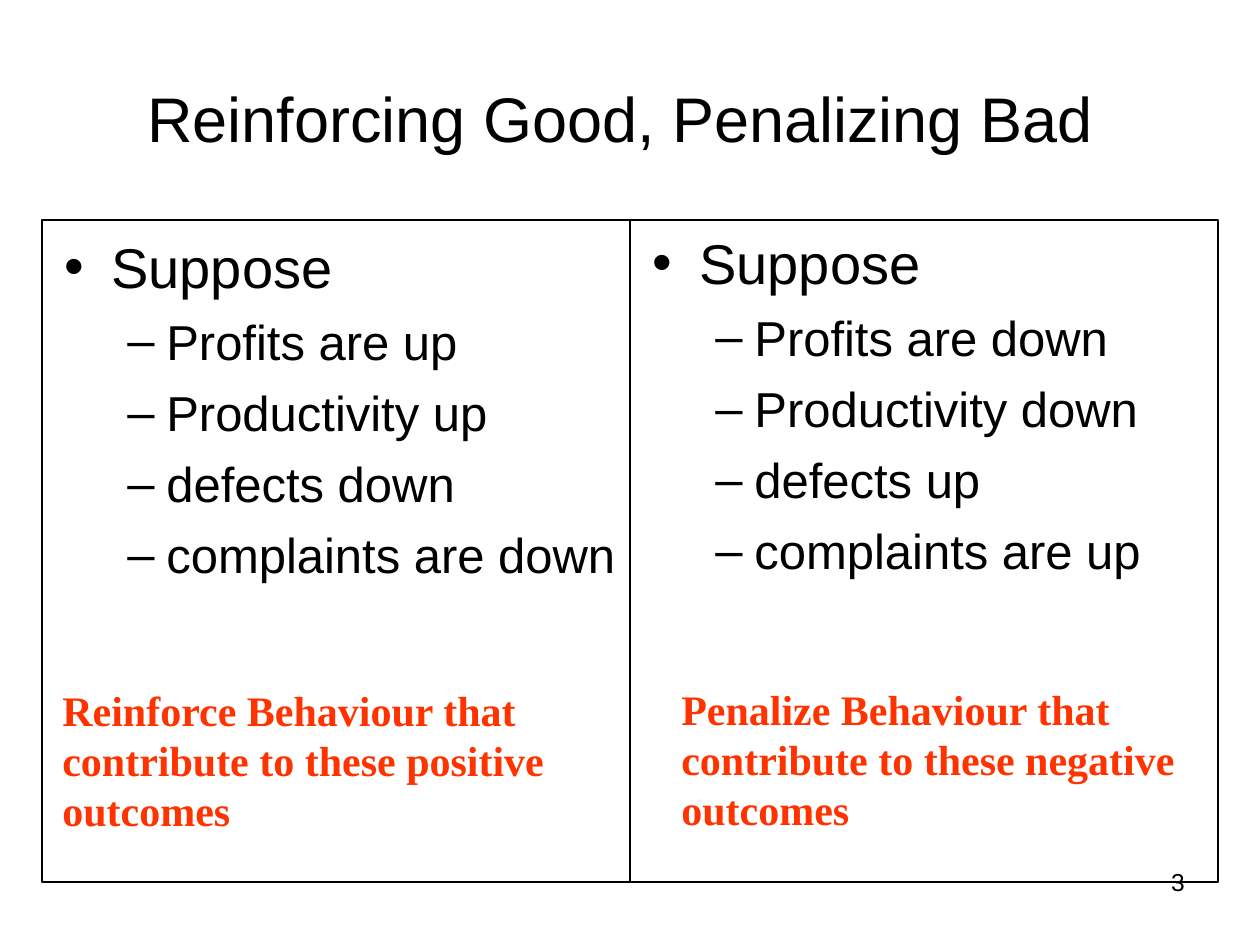
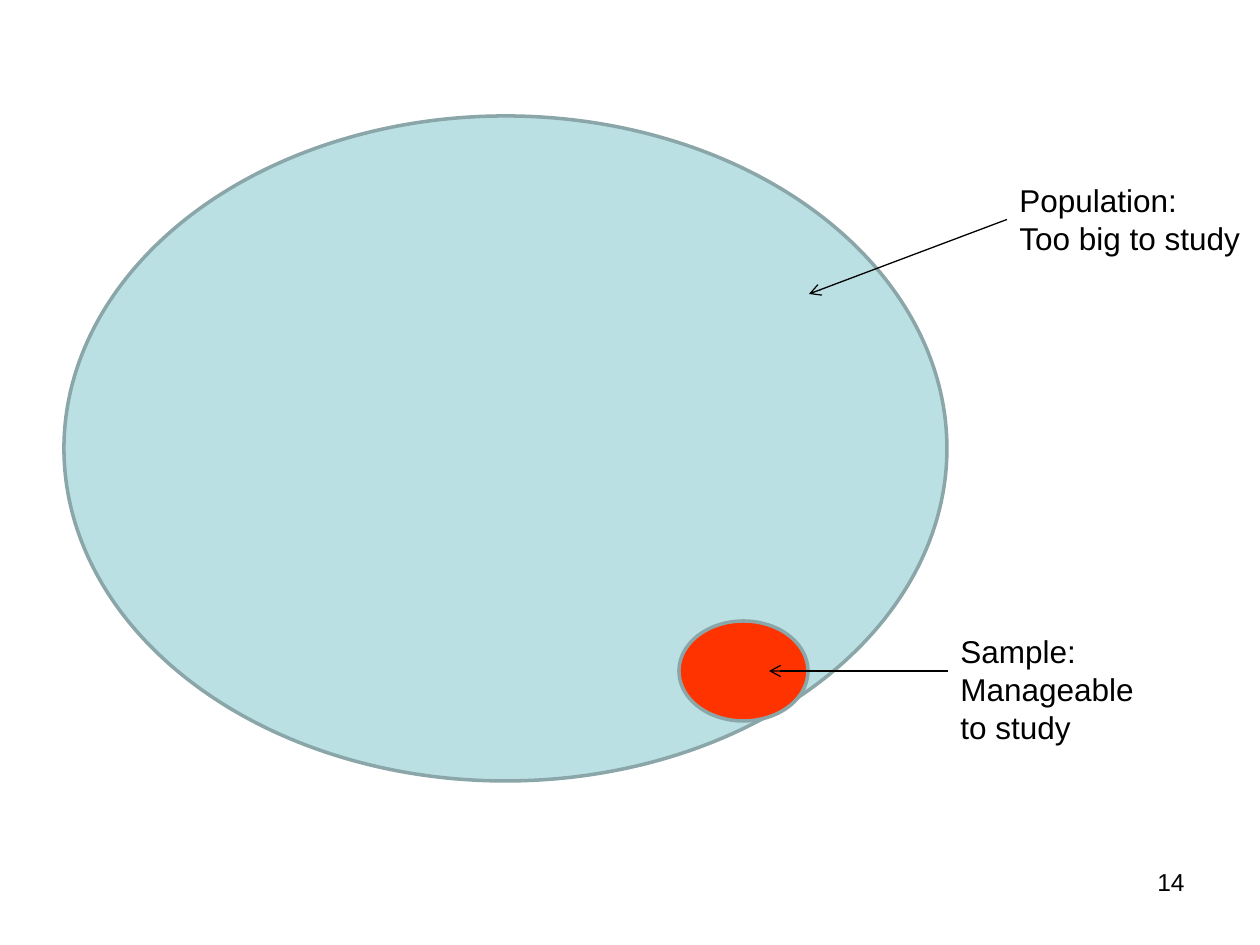
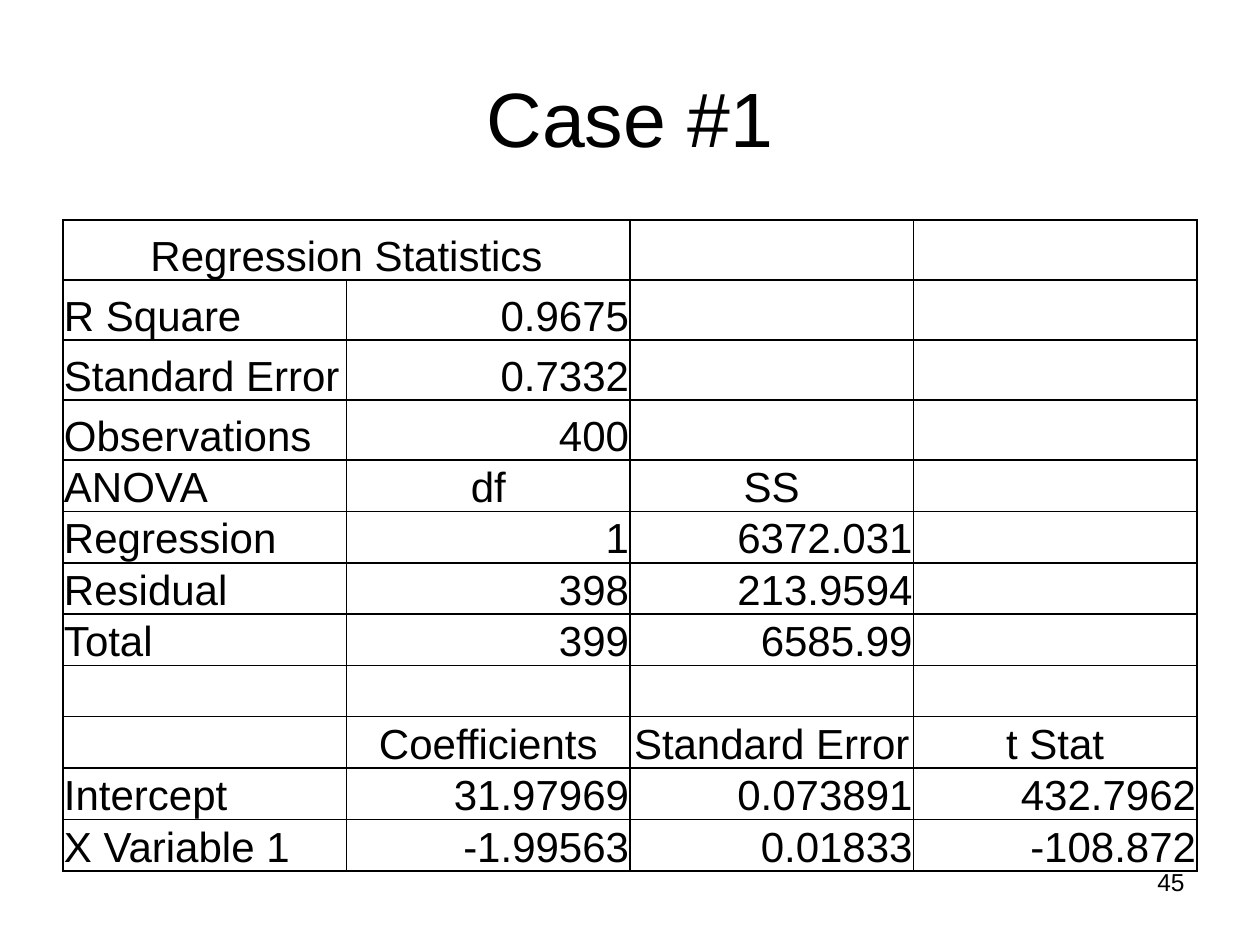
from dataclasses import dataclass

from lxml.etree import SubElement
from pptx import Presentation
from pptx.dml.color import RGBColor
from pptx.enum.shapes import MSO_CONNECTOR, MSO_SHAPE
from pptx.enum.text import MSO_ANCHOR as Anchor, MSO_AUTO_SIZE as AutoSize, PP_ALIGN as Align
from pptx.oxml import parse_xml
from pptx.oxml.ns import nsdecls, qn
from pptx.util import Emu, Pt


@dataclass(frozen=True)
class Theme:
    black: RGBColor = RGBColor(0x00, 0x00, 0x00)
    red: RGBColor = RGBColor(0xFF, 0x33, 0x00)
    pale_blue: RGBColor = RGBColor(0xBB, 0xE0, 0xE3)
    outline: RGBColor = RGBColor(0x8A, 0xA6, 0xA8)
    sans: str = "Arial"
    serif: str = "Times New Roman"
    title: int = 44
    long_title: int = 36
    bullet: int = 32
    sub_bullet: int = 28
    table: int = 24
    message: int = 24
    label: int = 18
    page_number: int = 14


THEME = Theme()
EMU_PER_PX = 914400 / 126
LEFT_SIDE = 1


def px(*lengths):
    """Turn px lengths into a list of EMU lengths."""
    return [Emu(round(length * EMU_PER_PX)) for length in lengths]


def write(frame, lines, size, color=THEME.black, font=THEME.sans, bold=False,
          align=Align.LEFT, bullets=None, space_before=0):
    """Write one paragraph per line; bullets gives (sign, indent, hang, size) per line."""
    for index, line in enumerate(lines):
        paragraph = frame.paragraphs[0] if index == 0 else frame.add_paragraph()
        paragraph.alignment = align
        paragraph.space_before = Pt(space_before if index else 0)
        line_size = size
        if bullets:
            sign, indent, hang, line_size = bullets[index]
            properties = paragraph._p.get_or_add_pPr()
            margin, first_line = px(indent, -hang)
            properties.set("marL", str(margin))
            properties.set("indent", str(first_line))
            SubElement(properties, qn("a:buFont"), typeface=font)
            SubElement(properties, qn("a:buChar"), char=sign)
        run = paragraph.add_run()
        run.text = line
        run.font.name = font
        run.font.size = Pt(line_size)
        run.font.bold = bold
        run.font.color.rgb = color


presentation = Presentation()
presentation.slide_width, presentation.slide_height = px(1260, 945)
title_only, blank = presentation.slide_layouts[5], presentation.slide_layouts[6]

# Slides with their titles and page numbers
slides = []
for layout, page, title, title_left, title_size in [
    (title_only, "3", "Reinforcing Good, Penalizing Bad", 53, THEME.long_title),
    (blank, "14", None, None, None),
    (title_only, "45", "Case #1", 63, THEME.title),
]:
    slide = presentation.slides.add_slide(layout)
    slides.append(slide)
    if title:
        heading = slide.shapes.title
        heading.left, heading.top, heading.width, heading.height = px(title_left, 38, 1134, 158)
        heading.text_frame.auto_size = AutoSize.NONE
        heading.text_frame.vertical_anchor = Anchor.MIDDLE
        write(heading.text_frame, [title], title_size, align=Align.CENTER)
    number = slide.shapes.add_textbox(*px(903, 861, 294, 66))
    number.text_frame.word_wrap = True
    write(number.text_frame, [page], THEME.page_number, align=Align.RIGHT)

comparison, sampling, regression = slides

# Good and bad outcomes side by side
outcome_bullets = [("•", 47, 47, THEME.bullet)] + [("–", 102, 39, THEME.sub_bullet)] * 4
for panel_left, list_box, outcomes, message_box, message in [
    (42, (52, 226, 598, 618),
     ["Suppose", "Profits are up", "Productivity up", "defects down", "complaints are down"],
     (50, 678, 507, 164),
     ["Reinforce Behaviour that", "contribute to these positive", "outcomes"]),
    (630, (640, 222, 598, 618),
     ["Suppose", "Profits are down", "Productivity down", "defects up", "complaints are up"],
     (669, 677, 519, 164),
     ["Penalize Behaviour that", "contribute to these negative", "outcomes"]),
]:
    outcome_list = comparison.shapes.add_textbox(*px(*list_box))
    outcome_list.text_frame.word_wrap = True
    write(outcome_list.text_frame, outcomes, THEME.bullet, bullets=outcome_bullets, space_before=7)
    advice = comparison.shapes.add_textbox(*px(*message_box))
    advice.text_frame.word_wrap = False
    write(advice.text_frame, message, THEME.message, THEME.red, THEME.serif, bold=True)
    panel = comparison.shapes.add_shape(MSO_SHAPE.RECTANGLE, *px(panel_left, 220, 588, 662))
    panel.shadow.inherit = False
    panel.fill.background()
    panel.line.color.rgb = THEME.black
    panel.line.width = Pt(0.75)

# Population and sample
for ellipse_box, fill, label_box, label_lines, start, end, from_label in [
    ((64, 116, 883, 665), THEME.pale_blue, (1007, 175, 248, 89),
     ["Population:", "Too big to study"], (1007, 219), (809, 294), True),
    ((679, 621, 129, 100), THEME.red, (948, 626, 209, 127),
     ["Sample:", "Manageable", "to study"], (948, 671), (769, 671), False),
]:
    ellipse = sampling.shapes.add_shape(MSO_SHAPE.OVAL, *px(*ellipse_box))
    ellipse.shadow.inherit = False
    ellipse.fill.solid()
    ellipse.fill.fore_color.rgb = fill
    ellipse.line.color.rgb = THEME.outline
    ellipse.line.width = Pt(2)
    label = sampling.shapes.add_textbox(*px(*label_box))
    label.text_frame.word_wrap = False
    write(label.text_frame, label_lines, THEME.label)
    arrow = sampling.shapes.add_connector(MSO_CONNECTOR.STRAIGHT, *px(*start, *end))
    if from_label:
        arrow.begin_connect(label, LEFT_SIDE)
    arrow.line.color.rgb = THEME.black
    arrow.line.width = Pt(0.75)
    SubElement(arrow.line._get_or_add_ln(), qn("a:tailEnd"), type="arrow")
    SubElement(arrow._element.spPr, qn("a:effectLst"))

# Regression results
L, C, R = Align.LEFT, Align.CENTER, Align.RIGHT
header, values = (L, C, C, C), (L, R, R, R)
rows = [
    ((C, C, C, C), ["Regression Statistics", "", "", ""]),
    (values, ["R Square", "0.9675", "", ""]),
    (values, ["Standard Error", "0.7332", "", ""]),
    (values, ["Observations", "400", "", ""]),
    (header, ["ANOVA", "df", "SS", ""]),
    (values, ["Regression", "1", "6372.031", ""]),
    (values, ["Residual", "398", "213.9594", ""]),
    (values, ["Total", "399", "6585.99", ""]),
    (values, ["", "", "", ""]),
    (header, ["", "Coefficients", "Standard Error", "t Stat"]),
    (values, ["Intercept", "31.97969", "0.073891", "432.7962"]),
    (values, ["X Variable 1", "-1.99563", "0.01833", "-108.872"]),
]
tall_rows, tall_height, row_height = 4, 60, 51
table_height = tall_rows * tall_height + (len(rows) - tall_rows) * row_height
table = regression.shapes.add_table(len(rows), 4, *px(63, 220, 1134, table_height)).table
table.first_row = table.horz_banding = False
table.cell(0, 0).merge(table.cell(0, 1))
for row_index, (alignments, texts) in enumerate(rows):
    table.rows[row_index].height = px(tall_height if row_index < tall_rows else row_height)[0]
    for column, (align, text) in enumerate(zip(alignments, texts)):
        cell = table.cell(row_index, column)
        cell.vertical_anchor = Anchor.BOTTOM
        cell.margin_left, cell.margin_right, cell.margin_top, cell.margin_bottom = px(1, 1, 1, 0)
        cell.fill.background()
        cell_properties = cell._tc.get_or_add_tcPr()
        for position, side in enumerate(["lnL", "lnR", "lnT", "lnB"]):
            cell_properties.insert(position, parse_xml(
                f'<a:{side} {nsdecls("a")} w="{Pt(1)}"><a:solidFill>'
                f'<a:srgbClr val="{THEME.black}"/></a:solidFill></a:{side}>'))
        if text:
            write(cell.text_frame, [text], THEME.table, align=align)

presentation.save("out.pptx")
